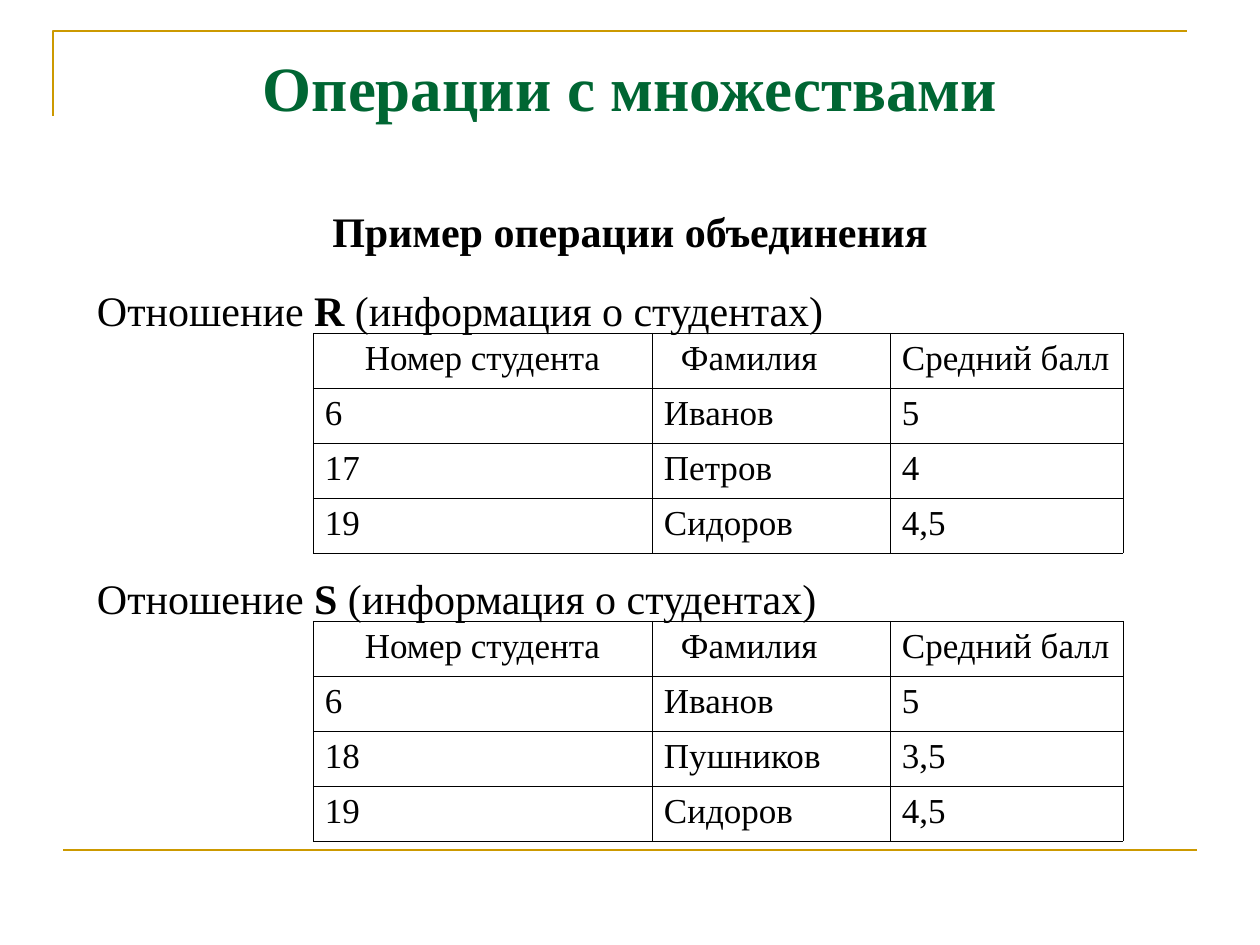
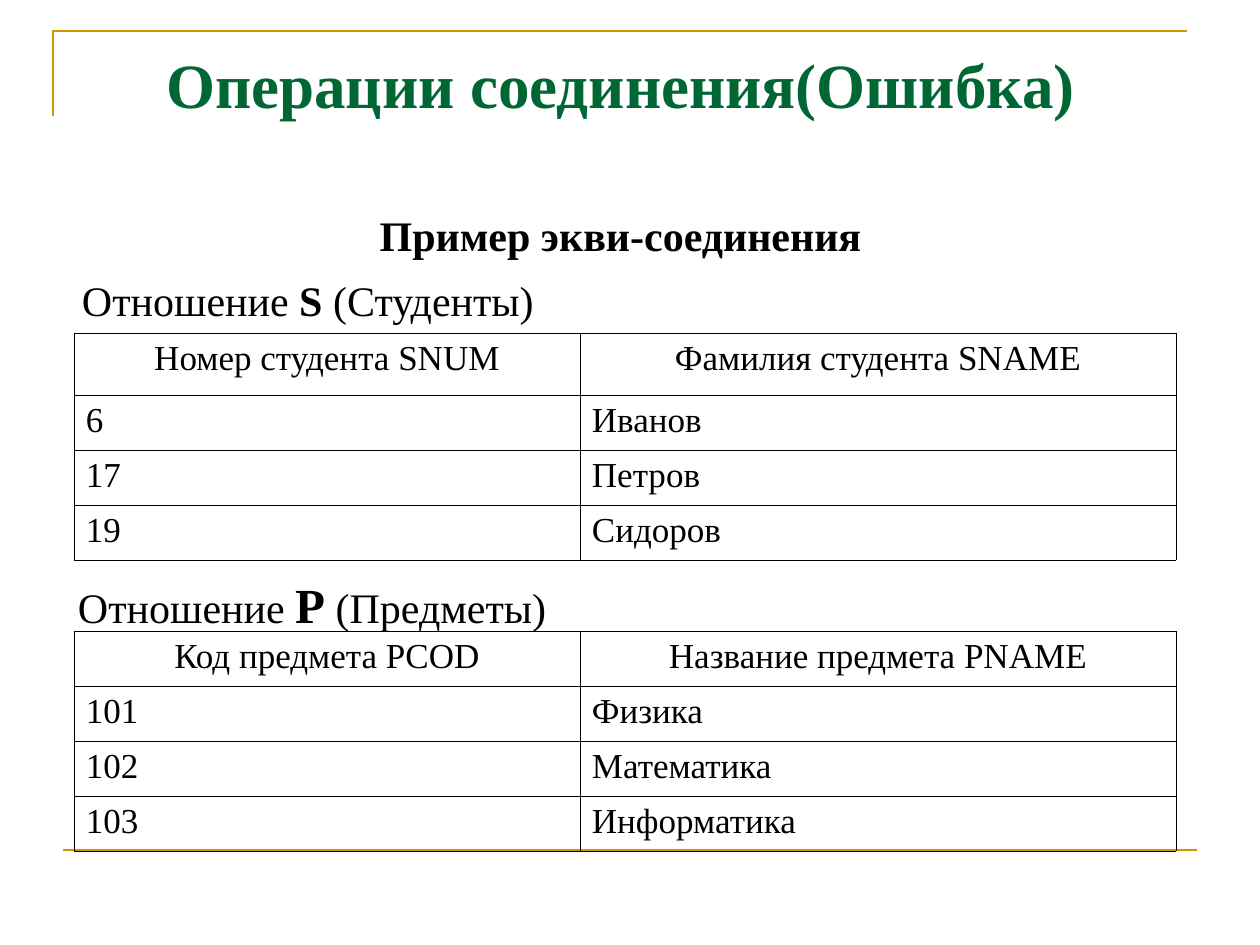
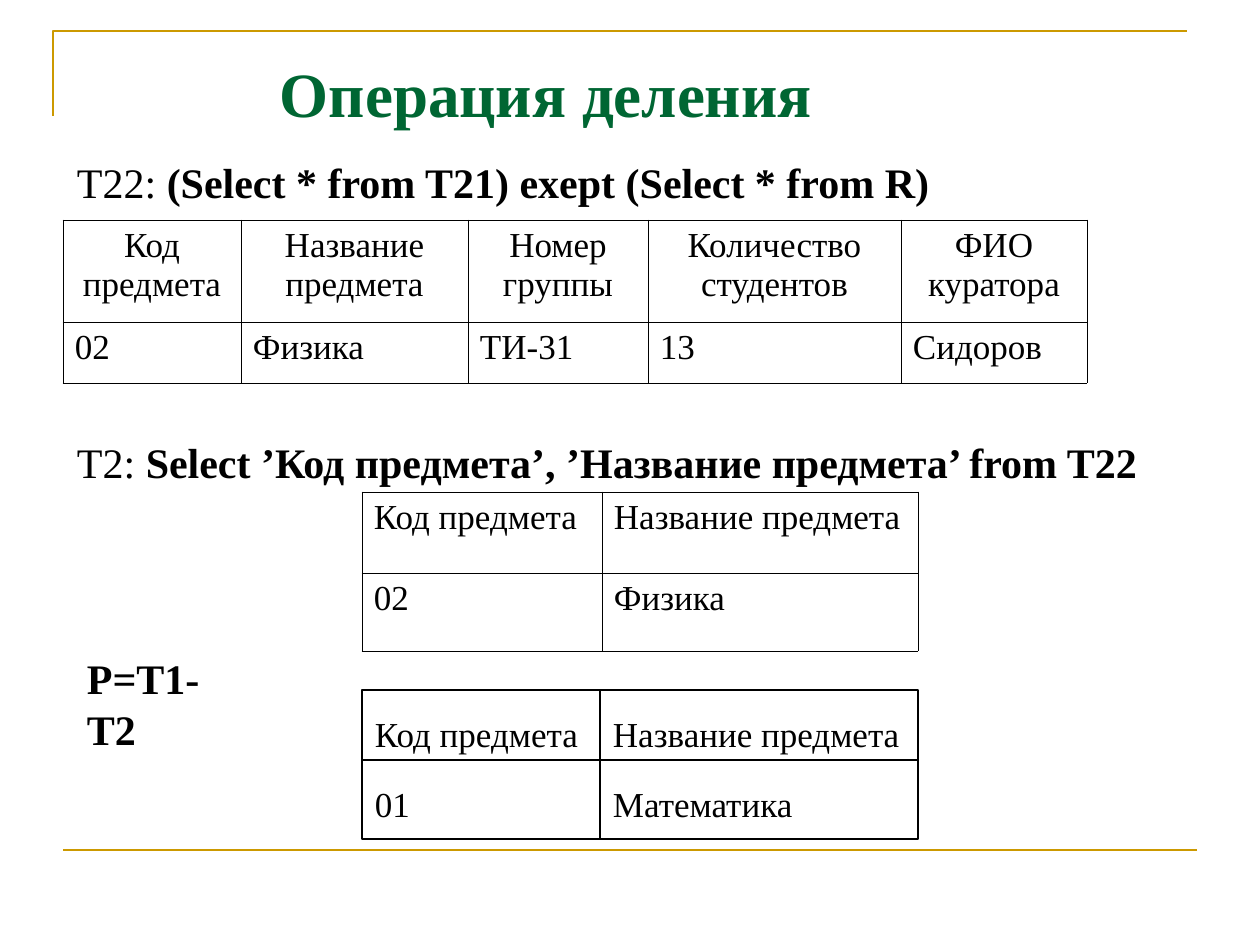
from lxml import etree
from pptx import Presentation
from pptx import util as u
from pptx.dml.color import RGBColor
from pptx.enum import shapes, text
from pptx.oxml.ns import qn

FONT = "Times New Roman"
GOLD, GREEN, BLACK, WHITE = "CC9900", "006633", "000000", "FFFFFF"
LEFT, CENTER = text.PP_ALIGN.LEFT, text.PP_ALIGN.CENTER


def px(n):
    """Turn whole pixels into EMU."""
    return round(n * 914400 / 126)


def rgb(color):
    """Turn a hex string into a colour."""
    return RGBColor.from_string(color)


def set_line(sp, color, width):
    """Give a shape or connector its outline."""
    sp.line.color.rgb = rgb(color)
    sp.line.width = u.Pt(width)


def add_run(p, words, size, color=BLACK, bold=False):
    """Append one formatted run."""
    r = p.add_run()
    r.text = words
    r.font.name, r.font.size, r.font.bold = FONT, u.Pt(size), bold
    r.font.color.rgb = rgb(color)


def add_box(slide, box, left=13, top=12):
    """Add a wrapping text box and return its frame."""
    tf = slide.shapes.add_textbox(*map(px, box)).text_frame
    tf.word_wrap = True
    tf.margin_left, tf.margin_top, tf.margin_right = px(left), px(top), 0
    return tf


def add_label(slide, box, runs, left=13, top=12):
    """Add one line of (words, size, bold) runs."""
    p = add_box(slide, box, left, top).paragraphs[0]
    for words, size, bold in runs:
        add_run(p, words, size, bold=bold)


def add_title(slide, box, title, subtitle=None, gap=0, left=0, top=12, align=CENTER):
    """Add the green title and the heading below it."""
    tf = add_box(slide, box, left, top)
    p = tf.paragraphs[0]
    p.alignment = align
    add_run(p, title, 36, GREEN, True)
    if subtitle:
        p = tf.add_paragraph()
        p.alignment, p.space_before = align, u.Pt(gap)
        add_run(p, subtitle, 24, bold=True)


def add_line(slide, x1, y1, x2, y2, color, width):
    """Add a straight line without a shadow."""
    sp = slide.shapes.add_connector(shapes.MSO_CONNECTOR.STRAIGHT, *map(px, (x1, y1, x2, y2)))
    set_line(sp, color, width)
    etree.SubElement(sp._element.spPr, qn("a:effectLst"))


def add_frame(slide):
    """Draw the gold corner and the bottom rule."""
    fb = slide.shapes.build_freeform(px(53), px(116))
    fb.add_line_segments([(px(53), px(31)), (px(1187), px(31))], close=False)
    sp = fb.convert_to_shape()
    sp.shadow.inherit = False
    sp.fill.background()
    set_line(sp, GOLD, 1.5)
    add_line(slide, 63, 850, 1197, 850, GOLD, 1.5)


def set_borders(cell, width):
    """Draw the four borders of a cell."""
    tc_pr = cell._tc.get_or_add_tcPr()
    for side in ("lnL", "lnR", "lnT", "lnB"):
        ln = etree.SubElement(tc_pr, qn(f"a:{side}"), w=str(u.Pt(width)))
        fill = etree.SubElement(ln, qn("a:solidFill"))
        etree.SubElement(fill, qn("a:srgbClr"), val=BLACK)


def add_relation(slide, x, y, cols, rows, head=55, body=55, centered=0, border=0.34):
    """Add a relation table whose first header cells are centred."""
    height = head + body * (len(rows) - 1)
    table = slide.shapes.add_table(
        len(rows), len(cols), px(x), px(y), px(sum(cols)), px(height)).table
    table.first_row = table.horz_banding = False
    for col, width in zip(table.columns, cols):
        col.width = px(width)
    for i, values in enumerate(rows):
        table.rows[i].height = px(body if i else head)
        for j, value in enumerate(values):
            cell = table.cell(i, j)
            middle = i == 0 and j < centered
            set_borders(cell, border)
            cell.fill.background()
            cell.margin_left, cell.margin_right = px(12), px(12 if middle else 6)
            tf = cell.text_frame
            for k, words in enumerate(value.split("\n")):
                p = tf.add_paragraph() if k else tf.paragraphs[0]
                p.alignment = CENTER if middle else LEFT
                add_run(p, words, 20)
    return table


def add_drawn_relation(slide, x, y, w, h, split_x, split_y, rows):
    """Draw a two by two relation from a rectangle, lines and labels."""
    sp = slide.shapes.add_shape(shapes.MSO_SHAPE.RECTANGLE, *map(px, (x, y, w, h)))
    sp.shadow.inherit = False
    sp.fill.solid()
    sp.fill.fore_color.rgb = rgb(WHITE)
    set_line(sp, BLACK, 0.75)
    add_line(slide, x, y + split_y, x + w, y + split_y, BLACK, 0.75)
    add_line(slide, x + split_x, y, x + split_x, y + h, BLACK, 0.75)
    widths = split_x, w - split_x
    for i, values in enumerate(rows):
        for j, value in enumerate(values):
            box = x + j * split_x, y + 10 + i * split_y, widths[j], 55
            add_label(slide, box, [(value, 20, False)])


def union_slide(slide):
    """Show the relations of the union example."""
    add_title(slide, (54, 35, 1152, 265), "Операции с множествами",
              "Пример операции объединения", gap=46, top=14)
    heads = "Номер студента", "Фамилия", "Средний балл"
    first, last = ("6", "Иванов", "5"), ("19", "Сидоров", "4,5")
    relations = [("R", 932, 273, ("17", "Петров", "4")),
                 ("S", 833, 561, ("18", "Пушников", "3,5"))]
    for name, width, y, second in relations:
        table = add_relation(slide, 313, y + 60, (339, 238, 233),
                             [heads, first, second, last], centered=1)
        table.cell(0, 1).margin_left = px(29)
        add_label(slide, (84, y, width, 63),
                  [("Отношение ", 24, False), (name, 24, True),
                   (" (информация о студентах)", 24, False)])


def join_slide(slide):
    """Show the relations of the equi-join example."""
    add_title(slide, (54, -5, 1053, 299), "Операции соединения(Ошибка)",
              "Пример экви-соединения", gap=50, left=80, top=51)
    students = [("Номер студента SNUM", "Фамилия студента SNAME"),
                ("6", "Иванов"), ("17", "Петров"), ("19", "Сидоров")]
    subjects = [("Код предмета PCOD", "Название предмета PNAME"),
                ("101", "Физика"), ("102", "Математика"), ("103", "Информатика")]
    relations = [("S", 24, " (Студенты)", (34, 263, 735, 63), 48, 333, 62, students),
                 ("P", 28, " (Предметы)", (44, 563, 853, 72), 34, 631, 55, subjects)]
    for name, size, note, box, left, y, head, rows in relations:
        add_relation(slide, 74, y, (506, 596), rows, head=head, centered=2)
        add_label(slide, box, [("Отношение ", 24, False), (name, size, True),
                               (note, 24, False)], left=left)


def division_slide(slide):
    """Show the steps of the division."""
    add_title(slide, (267, 43, 719, 88), "Операция деления", left=13, align=LEFT)
    add_label(slide, (64, 145, 881, 63),
              [("T22: ", 24, False), ("(Select * from T21) exept (Select * from R)", 24, True)])
    add_label(slide, (64, 418, 1101, 72),
              [("T2: ", 24, False),
               ("Select ’Код предмета’, ’Название предмета’ from T22", 24, True)], top=19)
    add_label(slide, (74, 641, 150, 63), [("Р=T1-T2", 24, True)])
    add_relation(slide, 63, 220, (178, 227, 180, 253, 186),
                 [("Код\nпредмета", "Название\nпредмета", "Номер\nгруппы",
                   "Количество\nстудентов", "ФИО\nкуратора"),
                  ("02", "Физика", "ТИ-31", "13", "Сидоров")],
                 head=102, body=61, centered=5, border=0.45)
    heads = "Код предмета", "Название предмета"
    add_relation(slide, 362, 492, (240, 316), [heads, ("02", "Физика")],
                 head=81, body=78, border=0.45)
    add_drawn_relation(slide, 362, 690, 556, 149, 238, 70, [heads, ("01", "Математика")])


def main():
    """Build and save the slides."""
    prs = Presentation()
    prs.slide_width, prs.slide_height = px(1260), px(945)
    for build in (union_slide, join_slide, division_slide):
        slide = prs.slides.add_slide(prs.slide_layouts[6])
        add_frame(slide)
        build(slide)
    prs.save("out.pptx")


if __name__ == "__main__":
    main()
